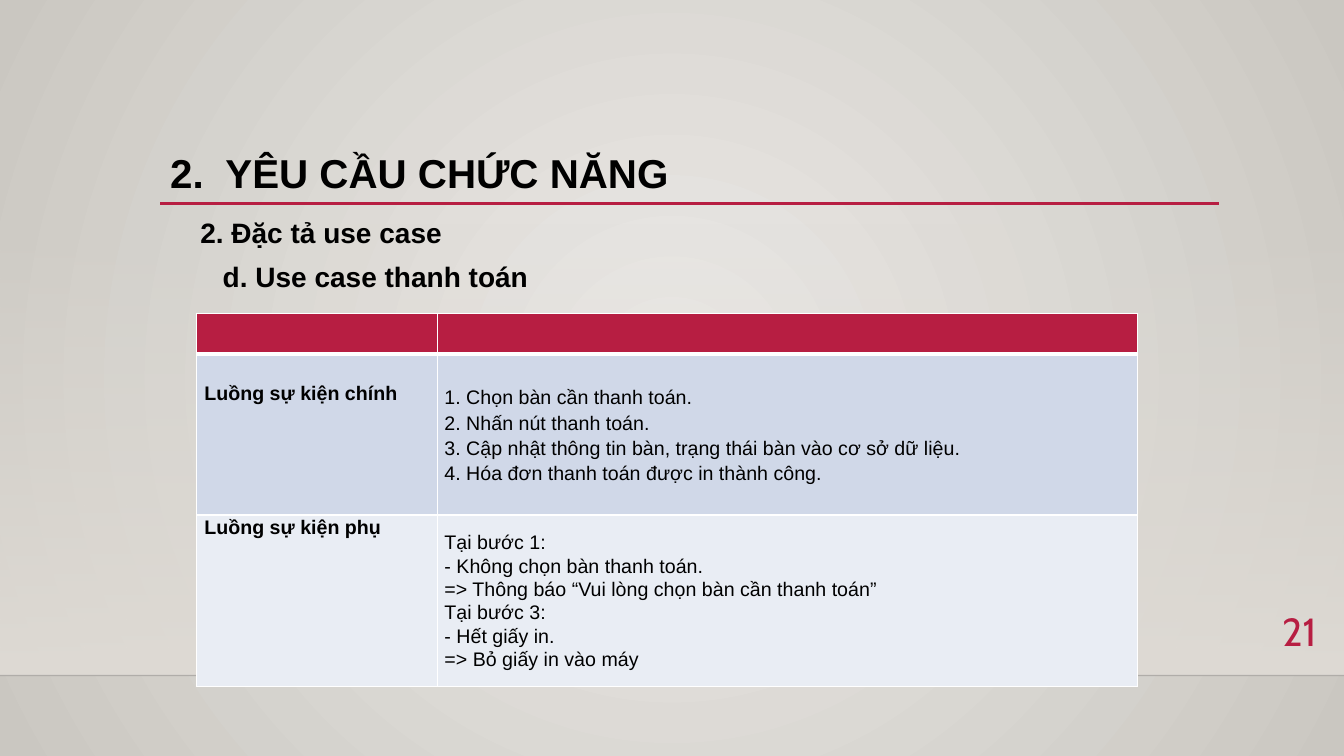
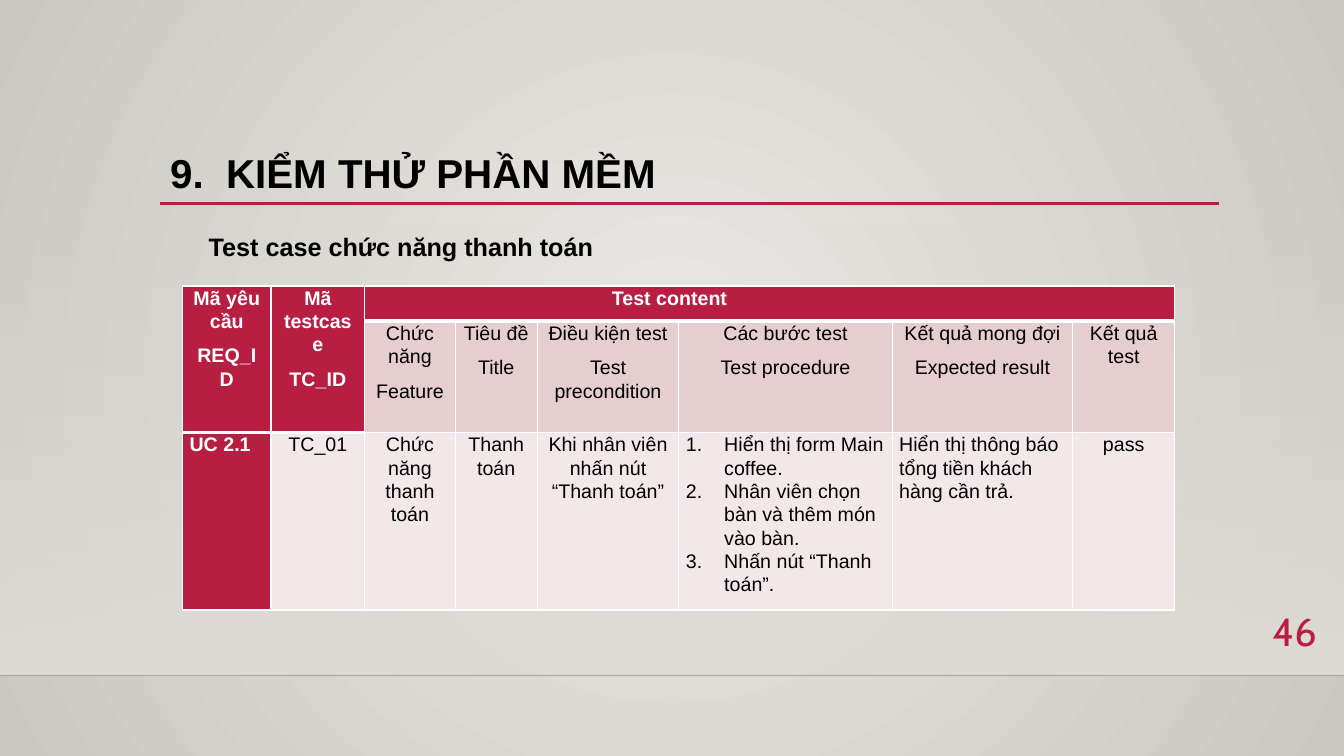
from lxml.etree import SubElement
from pptx import Presentation
from pptx.dml.color import RGBColor
from pptx.enum.shapes import MSO_CONNECTOR, MSO_SHAPE
from pptx.enum.text import MSO_ANCHOR, PP_ALIGN
from pptx.oxml import parse_xml
from pptx.oxml.ns import nsdecls, qn
from pptx.util import Pt

SLIDE_WIDTH, SLIDE_HEIGHT = 960, 540
CRIMSON = RGBColor(0xB7, 0x1E, 0x42)
BLACK = RGBColor(0x00, 0x00, 0x00)
WHITE = RGBColor(0xFF, 0xFF, 0xFF)
GLOW_CENTER = RGBColor(0xEC, 0xEA, 0xE7)
GLOW_EDGE = RGBColor(0xCA, 0xC7, 0xC1)
WALL = RGBColor(0xDF, 0xDB, 0xD5)
FLOOR_LINE = RGBColor(0x00, 0x00, 0x01)
BLUE_ROW = RGBColor(0xD0, 0xD8, 0xE8)
PALE_BLUE_ROW = RGBColor(0xE9, 0xED, 0xF4)
PINK_ROW = RGBColor(0xE6, 0xCD, 0xCF)
PALE_PINK_ROW = RGBColor(0xF3, 0xE8, 0xE9)
BODY_FONT, NUMBER_FONT = "Arial", "Cabin"
CELL_SIZE = 14
THIN, THICK = 1, 3

FLOWS = [
    ("Luồng sự kiện chính", [
        "1. Chọn bàn cần thanh toán.",
        "2. Nhấn nút thanh toán.",
        "3. Cập nhật thông tin bàn, trạng thái bàn vào cơ sở dữ liệu.",
        "4. Hóa đơn thanh toán được in thành công.",
    ], BLUE_ROW, 1.15, 19.5),
    ("Luồng sự kiện phụ", [
        "Tại bước 1:",
        "- Không chọn bàn thanh toán.",
        "=> Thông báo “Vui lòng chọn bàn cần thanh toán”",
        "Tại bước 3:",
        "- Hết giấy in.",
        "=> Bỏ giấy in vào máy",
    ], PALE_BLUE_ROW, 1.06, 0),
]
ID_HEADINGS = [["Mã yêu cầu", "REQ_ID"], ["Mã testcase", "TC_ID"]]
CONTENT_HEADINGS = [
    ["Chức năng", "Feature"],
    ["Tiêu đề", "Title"],
    ["Điều kiện test", "Test precondition"],
    ["Các bước test", "Test procedure"],
    ["Kết quả mong đợi", "Expected result"],
    ["Kết quả test"],
]
TEST_CASE = [
    ["UC 2.1"],
    ["TC_01"],
    ["Chức năng thanh toán"],
    ["Thanh toán"],
    ["Khi nhân viên nhấn nút “Thanh toán”"],
    ["Hiển thị form Main coffee.",
     "Nhân viên chọn bàn và thêm món vào bàn.",
     "Nhấn nút “Thanh toán”."],
    ["Hiển thị thông báo tổng tiền khách hàng cần trả."],
    ["pass"],
]
STEPS_COLUMN = 5
LEFT_ALIGNED_COLUMNS = (0, STEPS_COLUMN, 6)


def set_opacity(element, percent):
    """Make the first RGB colour inside the element partly transparent."""
    color = next(element.iter(qn("a:srgbClr")))
    SubElement(color, qn("a:alpha"), val=str(percent * 1000))


def style_font(font, size, color, bold=False, name=BODY_FONT):
    font.name, font.size, font.bold = name, Pt(size), bold
    font.color.rgb = color


def set_glow_background(master):
    fill = master.background.fill
    fill.gradient()
    for stop, color in zip(fill.gradient_stops, (GLOW_CENTER, GLOW_EDGE)):
        stop.color.rgb = color
    linear = next(master.element.iter(qn("a:lin")))
    linear.getparent().replace(linear, parse_xml(
        f'<a:path {nsdecls("a")} path="circle">'
        '<a:fillToRect l="50000" t="50000" r="50000" b="50000"/></a:path>'))


def add_rule(slide, left, right, top, color, width):
    rule = slide.shapes.add_connector(
        MSO_CONNECTOR.STRAIGHT, Pt(left), Pt(top), Pt(right), Pt(top))
    rule.line.color.rgb = color
    rule.line.width = Pt(width)
    SubElement(rule.element.spPr, qn("a:effectLst"))
    return rule


def add_wall(slide, top, height):
    """Add the fading band and the floor line at its foot."""
    wall = slide.shapes.add_shape(
        MSO_SHAPE.RECTANGLE, 0, Pt(top), Pt(SLIDE_WIDTH), Pt(height))
    wall.shadow.inherit = False
    wall.line.fill.background()
    wall.fill.gradient()
    wall.fill.gradient_angle = 270
    for stop in wall.fill.gradient_stops:
        stop.color.rgb = WALL
    set_opacity(wall.element, 0)
    floor = add_rule(slide, 0, SLIDE_WIDTH, top + height, FLOOR_LINE, 1)
    set_opacity(floor.element, 20)


def add_text(slide, box, text, size, color=BLACK, bold=True, name=BODY_FONT,
             anchor=MSO_ANCHOR.TOP, align=PP_ALIGN.LEFT, spacing=1.0):
    frame = slide.shapes.add_textbox(*map(Pt, box)).text_frame
    frame.word_wrap = True
    frame.vertical_anchor = anchor
    paragraph = frame.paragraphs[0]
    paragraph.text = text
    paragraph.alignment = align
    paragraph.line_spacing = spacing
    style_font(paragraph.font, size, color, bold, name)


def add_base_slide(presentation, title, number):
    """Add a slide with the wall, title, title rule and page number."""
    slide = presentation.slides.add_slide(presentation.slide_layouts[6])
    add_wall(slide, 159, 323.5)
    add_rule(slide, 114.5, 871, 145.5, CRIMSON, 2.5)
    add_text(slide, (114.5, 104.5, 756, 41.5), title, 28.8,
             anchor=MSO_ANCHOR.MIDDLE, spacing=0.9)
    add_text(slide, (883.5, 430.5, 64, 39.5), number, 28, CRIMSON, False,
             NUMBER_FONT, MSO_ANCHOR.MIDDLE, PP_ALIGN.RIGHT)
    return slide


def add_grid(slide, left, top, widths, heights):
    table = slide.shapes.add_table(
        len(heights), len(widths), Pt(left), Pt(top),
        Pt(sum(widths)), Pt(sum(heights))).table
    table.first_row = table.horz_banding = False
    for column, width in zip(table.columns, widths):
        column.width = Pt(width)
    for row, height in zip(table.rows, heights):
        row.height = Pt(height)
    return table


def style_cell(cell, fill, top=THIN, bottom=THIN):
    """Give the cell its fill and white borders."""
    properties = cell._tc.get_or_add_tcPr()
    for side, width in zip("LRTB", (THIN, THIN, top, bottom)):
        properties.append(parse_xml(
            f'<a:ln{side} {nsdecls("a")} w="{Pt(width)}"><a:solidFill>'
            f'<a:srgbClr val="{WHITE}"/></a:solidFill></a:ln{side}>'))
    cell.fill.solid()
    cell.fill.fore_color.rgb = fill


def write_cell(cell, lines, color=BLACK, bold=False, align=PP_ALIGN.LEFT,
               spacing=1.06, gap=0, margins=(5, 0, 5, 0),
               anchor=MSO_ANCHOR.TOP, numbered=False):
    (cell.margin_left, cell.margin_top,
     cell.margin_right, cell.margin_bottom) = map(Pt, margins)
    cell.vertical_anchor = anchor
    frame = cell.text_frame
    for index, line in enumerate(lines):
        paragraph = frame.add_paragraph() if index else frame.paragraphs[0]
        paragraph.text = line
        paragraph.alignment = align
        paragraph.line_spacing = spacing
        paragraph.space_after = Pt(gap)
        if numbered:
            properties = paragraph._p.get_or_add_pPr()
            properties.set("marL", str(Pt(27.4)))
            properties.set("indent", str(-Pt(27.4)))
            SubElement(properties, qn("a:buAutoNum"), type="arabicPeriod")
        style_font(paragraph.font, CELL_SIZE, color, bold)


def add_flow_table(slide, left, top):
    table = add_grid(slide, left, top, (172, 500), (28.8, 115.2, 122.4))
    for cell in table.rows[0].cells:
        style_cell(cell, CRIMSON, bottom=THICK)
    for row, (name, steps, fill, spacing, drop) in enumerate(FLOWS, 1):
        name_cell, steps_cell = table.rows[row].cells
        for cell in (name_cell, steps_cell):
            style_cell(cell, fill, top=THICK if row == 1 else THIN)
        write_cell(name_cell, [name], bold=True, margins=(5.5, drop, 0, 0))
        write_cell(steps_cell, steps, spacing=spacing,
                   anchor=MSO_ANCHOR.MIDDLE)


def add_test_table(slide, left, top):
    widths = (63.2, 67, 64.6, 58.6, 101.2, 152.4, 129, 72.8)
    table = add_grid(slide, left, top, widths, (25.2, 79.5, 126.7))
    id_count, last = len(ID_HEADINGS), len(widths) - 1
    for column in range(len(widths)):
        upper, middle, lower = (table.cell(row, column) for row in range(3))
        is_id = column < id_count
        style_cell(upper, CRIMSON, bottom=THICK)
        style_cell(middle, CRIMSON if is_id else PINK_ROW,
                   top=THIN if is_id else THICK,
                   bottom=THICK if is_id else THIN)
        style_cell(lower, PALE_PINK_ROW if column else CRIMSON,
                   top=THICK if is_id else THIN)
        if is_id:
            upper.merge(middle)
            write_cell(upper, ID_HEADINGS[column], WHITE, True,
                       PP_ALIGN.CENTER, gap=8, margins=(6, 0, 6, 0))
        else:
            write_cell(middle, CONTENT_HEADINGS[column - id_count],
                       align=PP_ALIGN.CENTER, gap=8)
        numbered = column == STEPS_COLUMN
        write_cell(
            lower, TEST_CASE[column], BLACK if column else WHITE, column == 0,
            PP_ALIGN.LEFT if column in LEFT_ALIGNED_COLUMNS
            else PP_ALIGN.CENTER,
            gap=0 if numbered else 8, numbered=numbered)
    content = table.cell(0, id_count)
    content.merge(table.cell(0, last))
    write_cell(content, ["Test content"], WHITE, True,
               margins=(176.5, 0, 5, 0))


def add_use_case_slide(presentation):
    slide = add_base_slide(presentation, "2.  YÊU CẦU CHỨC NĂNG", "21")
    add_text(slide, (136, 150.5, 244, 31.5), "2. Đặc tả use case", 20)
    add_text(slide, (152, 181.5, 323, 31.5), "d. Use case thanh toán", 20)
    add_flow_table(slide, 140.5, 223.8)


def add_test_case_slide(presentation):
    slide = add_base_slide(presentation, "9.  KIỂM THỬ PHẦN MỀM", "46")
    add_text(slide, (142, 162, 292, 29), "Test case chức năng thanh toán", 18)
    add_test_table(slide, 130.4, 204.3)


def main():
    presentation = Presentation()
    presentation.slide_width = Pt(SLIDE_WIDTH)
    presentation.slide_height = Pt(SLIDE_HEIGHT)
    set_glow_background(presentation.slide_master)
    add_use_case_slide(presentation)
    add_test_case_slide(presentation)
    presentation.save("out.pptx")


if __name__ == "__main__":
    main()
